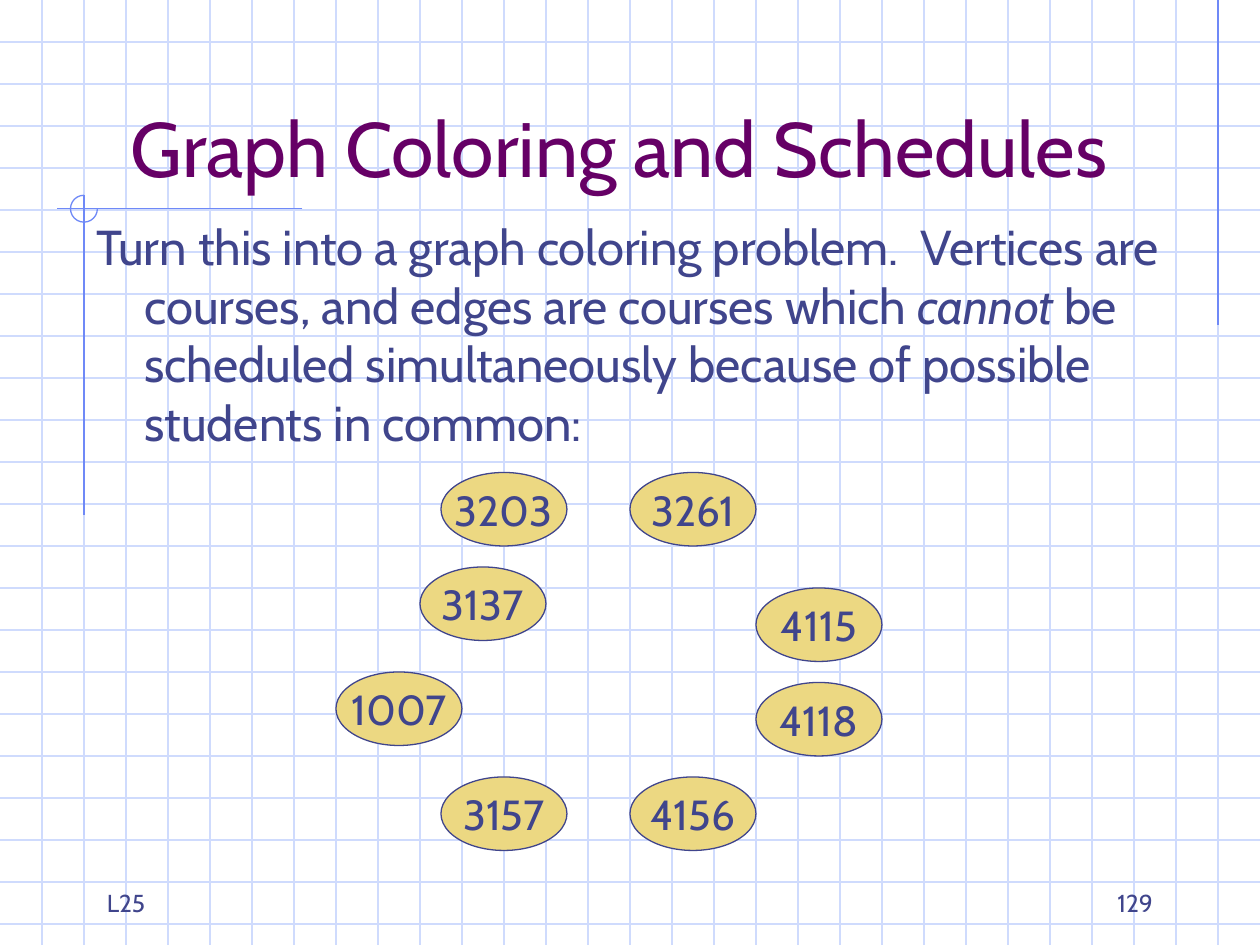
from lxml import etree
from pptx import Presentation
from pptx.dml.color import RGBColor
from pptx.enum.shapes import MSO_CONNECTOR, MSO_SHAPE
from pptx.enum.text import MSO_ANCHOR, MSO_AUTO_SIZE, PP_ALIGN
from pptx.oxml.ns import qn
from pptx.util import Inches, Pt

LINE = MSO_CONNECTOR.STRAIGHT
OVAL, ARC = MSO_SHAPE.OVAL, MSO_SHAPE.ARC
TOP, MIDDLE, BOTTOM = MSO_ANCHOR.TOP, MSO_ANCHOR.MIDDLE, MSO_ANCHOR.BOTTOM
LEFT, CENTER, RIGHT = PP_ALIGN.LEFT, PP_ALIGN.CENTER, PP_ALIGN.RIGHT
FIXED = MSO_AUTO_SIZE.NONE

PALE = RGBColor(0xCF, 0xDB, 0xFD)
BLUE = RGBColor(0x6F, 0x89, 0xF7)
INK = RGBColor(0x40, 0x45, 0x8C)
PLUM = RGBColor(0x66, 0x00, 0x66)
GOLD = RGBColor(0xEC, 0xD8, 0x82)
FONT = "Cabin"

CELL = Inches(1) / 3
COLS, ROWS = 30, 22.5

COURSES = {
    "1007": (8, 16), "3137": (10, 13.5),
    "3157": (10.5, 18.5), "3203": (10.5, 11.25),
    "4115": (18, 14), "3261": (15, 11.25),
    "4156": (15, 18.5), "4118": (18, 16.25),
}


def span(*cells):
    return [round(cell * CELL) for cell in cells]


def rule(slide, ends, color):
    line = slide.shapes.add_connector(LINE, *span(*ends))
    line.line.color.rgb = color
    line.line.width = Pt(0.75)
    etree.SubElement(line.element.spPr, qn("a:effectLst"))


def style(para, size, color, align):
    para.alignment = align
    for run in para.runs:
        run.font.name = FONT
        run.font.size = Pt(size)
        run.font.color.rgb = color


def frame(shape, anchor, wrap=True):
    text = shape.text_frame
    text.auto_size = FIXED
    text.word_wrap = wrap
    text.vertical_anchor = anchor
    return text


def place(shape, box):
    shape.left, shape.top, shape.width, shape.height = span(*box)
    shape.element.getparent().append(shape.element)


def draw_grid(slide):
    for row in range(1, int(ROWS) + 1):
        rule(slide, (0, row, COLS, row), PALE)
    for col in range(1, COLS):
        rule(slide, (col, 0, col, ROWS), PALE)


def draw_marks(slide, x, y):
    rule(slide, (29, 0, 29, 7.75), BLUE)
    rule(slide, (x + 5.2, y, x - 0.65, y), BLUE)
    rule(slide, (x, y - 0.32, x, y + 7.3), BLUE)
    ring = slide.shapes.add_shape(
        ARC, *span(x - 0.32, y - 0.32, 0.64, 0.64))
    ring.adjustments[0] = 0
    ring.adjustments[1] = 162
    ring.shadow.inherit = False
    ring.fill.background()
    ring.line.color.rgb = BLUE
    ring.line.width = Pt(0.75)


def add_title(slide, box):
    title = slide.shapes.title
    place(title, box)
    text = frame(title, BOTTOM)
    text.text = "Graph Coloring and Schedules"
    style(text.paragraphs[0], 44, PLUM, CENTER)


def add_body(slide, box):
    body = slide.placeholders[1]
    place(body, box)
    para = frame(body, TOP).paragraphs[0]
    for part in (
        "Turn this into a graph coloring problem.  Vertices are courses, "
        "and edges are courses which ",
        "cannot",
        " be scheduled simultaneously because of possible students "
        "in common:",
    ):
        run = para.add_run()
        run.text = part
        run.font.italic = part == "cannot"
    style(para, 28, INK, LEFT)
    para.space_before = Pt(7)
    props = para._p.get_or_add_pPr()
    props.set("marL", str(Inches(0.38)))
    props.set("indent", str(-Inches(0.38)))
    etree.SubElement(props, qn("a:buNone"))


def add_note(slide, box, words, align):
    text = frame(slide.shapes.add_textbox(*span(*box)), BOTTOM)
    text.text = words
    style(text.paragraphs[0], 14, INK, align)


def add_course(slide, box, code):
    node = slide.shapes.add_shape(OVAL, *span(*box))
    node.shadow.inherit = False
    node.fill.solid()
    node.fill.fore_color.rgb = GOLD
    node.line.color.rgb = INK
    node.line.width = Pt(0.75)
    text = frame(node, MIDDLE, False)
    text.text = code
    style(text.paragraphs[0], 24, INK, CENTER)


def main():
    deck = Presentation()
    deck.slide_width, deck.slide_height = span(COLS, ROWS)
    slide = deck.slides.add_slide(deck.slide_layouts[1])
    draw_grid(slide)
    draw_marks(slide, 2, 4.97)
    add_note(slide, (2.25, 20.5, 6.25, 1.5), "L25", LEFT)
    add_note(slide, (21.5, 20.5, 6.25, 1.5), "129", RIGHT)
    add_title(slide, (2, 1, 25.5, 3.75))
    add_body(slide, (2, 5, 26.75, 16))
    for code, spot in COURSES.items():
        add_course(slide, (*spot, 3, 1.75), code)
    deck.save("out.pptx")


if __name__ == "__main__":
    main()
